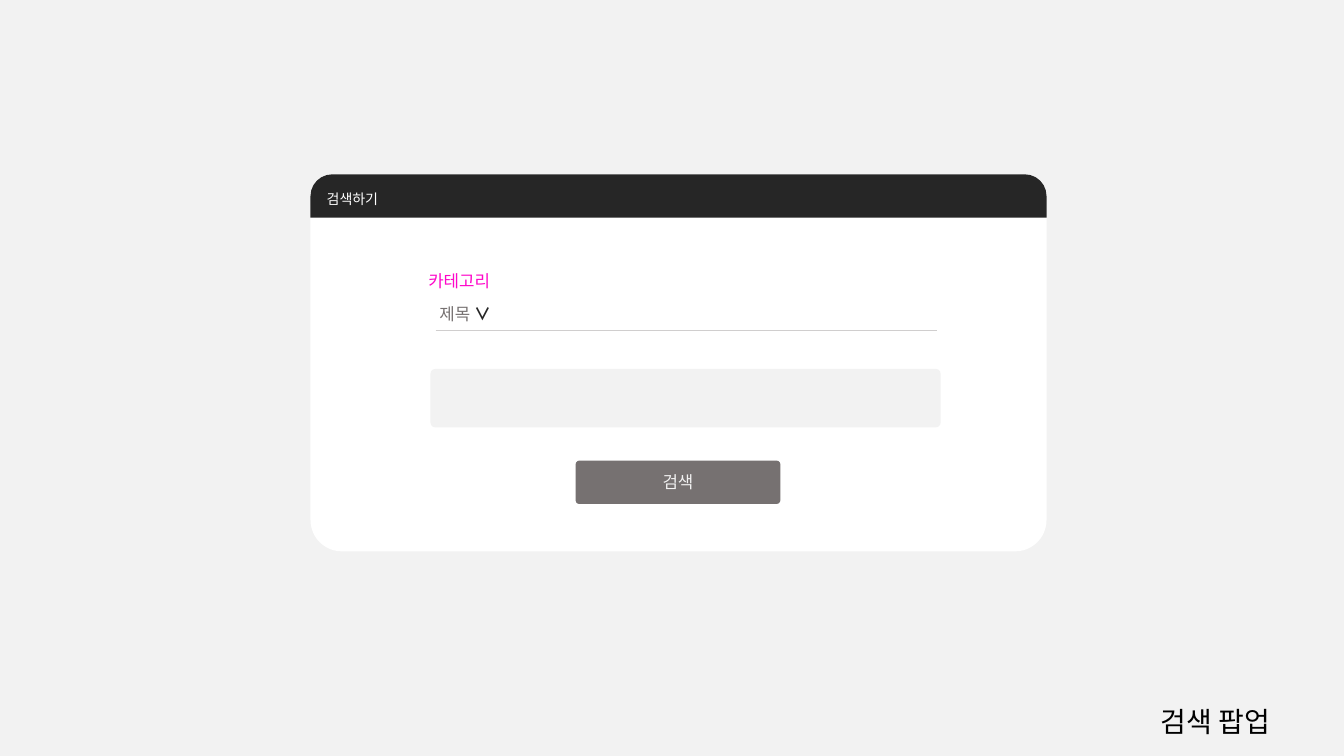
from pptx import Presentation
from pptx.dml.color import RGBColor
from pptx.enum.shapes import MSO_CONNECTOR, MSO_SHAPE
from pptx.enum.text import MSO_ANCHOR, MSO_AUTO_SIZE, PP_ALIGN
from pptx.oxml.ns import qn
from pptx.util import Emu, Pt

PX = 9144  # 100 px to the inch
FONT = "Noto Sans CJK KR"
BLACK = RGBColor(0x00, 0x00, 0x00)
WHITE = RGBColor(0xFF, 0xFF, 0xFF)
PALE = RGBColor(0xF2, 0xF2, 0xF2)
RULE = RGBColor(0xD0, 0xCE, 0xCE)
GRAY = RGBColor(0x76, 0x71, 0x71)
DARK = RGBColor(0x26, 0x26, 0x26)
PINK = RGBColor(0xFE, 0x06, 0xC9)


def px(*lengths):
    return [Emu(length * PX) for length in lengths]


def write(frame, text, size=12, color=BLACK, bold=False,
          align=PP_ALIGN.LEFT, anchor=MSO_ANCHOR.TOP):
    """Append a formatted run to the first paragraph of a text frame."""
    frame.word_wrap = True
    frame.vertical_anchor = anchor
    paragraph = frame.paragraphs[0]
    paragraph.alignment = align
    run = paragraph.add_run()
    run.text = text
    font = run.font
    font.size, font.bold, font.name = Pt(size), bold, FONT
    font.color.rgb = color
    east_asian = font._element.makeelement(qn("a:ea"), {"typeface": FONT})
    font._element.append(east_asian)


def add_block(slide, box, fill, kind=MSO_SHAPE.ROUNDED_RECTANGLE, corners=(0.083,)):
    block = slide.shapes.add_shape(kind, *px(*box))
    block.shadow.inherit = False
    block.fill.solid()
    block.fill.fore_color.rgb = fill
    block.line.fill.background()
    for index, corner in enumerate(corners):
        block.adjustments[index] = corner
    return block


def add_label(slide, box):
    frame = slide.shapes.add_textbox(*px(*box)).text_frame
    frame.auto_size = MSO_AUTO_SIZE.SHAPE_TO_FIT_TEXT
    return frame


def place_title(slide, box):
    title = slide.shapes.title
    title.left, title.top, title.width, title.height = px(*box)
    title.text_frame.auto_size = MSO_AUTO_SIZE.SHAPE_TO_FIT_TEXT
    write(title.text_frame, "검색 팝업", size=20, align=PP_ALIGN.CENTER)


def add_category_picker(slide, left, top, width):
    category = add_label(slide, (left, top, width, 30))
    write(category, "카테고리", color=PINK)

    # Underline of the selected field
    underline = slide.shapes.add_connector(
        MSO_CONNECTOR.STRAIGHT,
        *px(left + 17, top + 64, left + width - 3, top + 64))
    underline.line.color.rgb = RULE
    underline.line.width = Pt(0.5)
    properties = underline._element.spPr
    properties.append(properties.makeelement(qn("a:effectLst"), {}))

    # Selected field with its drop-down mark
    selection = add_label(slide, (left + 11, top + 32, 215, 30))
    write(selection, "제목 ", color=GRAY)
    write(selection, "∨", color=DARK, bold=True)


def add_search_popup(slide, left, top, width, height):
    add_block(slide, (left, top, width, height), WHITE)

    # Header bar
    header = add_block(slide, (left, top, width, 43), DARK,
                       MSO_SHAPE.ROUND_2_SAME_RECTANGLE, (0.5, 0))
    write(header.text_frame, "검색하기", size=10, color=WHITE,
          anchor=MSO_ANCHOR.MIDDLE)

    # Search field and button
    add_block(slide, (left + 119, top + 193, 506, 58), PALE)
    button_width = 203
    button_left = left + (width - button_width) // 2
    button = add_block(slide, (button_left, top + 284, button_width, 43), GRAY)
    write(button.text_frame, "검색", color=PALE, align=PP_ALIGN.CENTER,
          anchor=MSO_ANCHOR.MIDDLE)

    add_category_picker(slide, left + 107, top + 91, 517)


def main():
    deck = Presentation()
    deck.slide_width, deck.slide_height = px(1333, 750)
    slide = deck.slides.add_slide(deck.slide_layouts.get_by_name("Title Only"))
    slide.background.fill.solid()
    slide.background.fill.fore_color.rgb = PALE

    place_title(slide, (1058, 694, 295, 44))
    add_search_popup(slide, 308, 173, 730, 374)
    deck.save("out.pptx")


if __name__ == "__main__":
    main()
